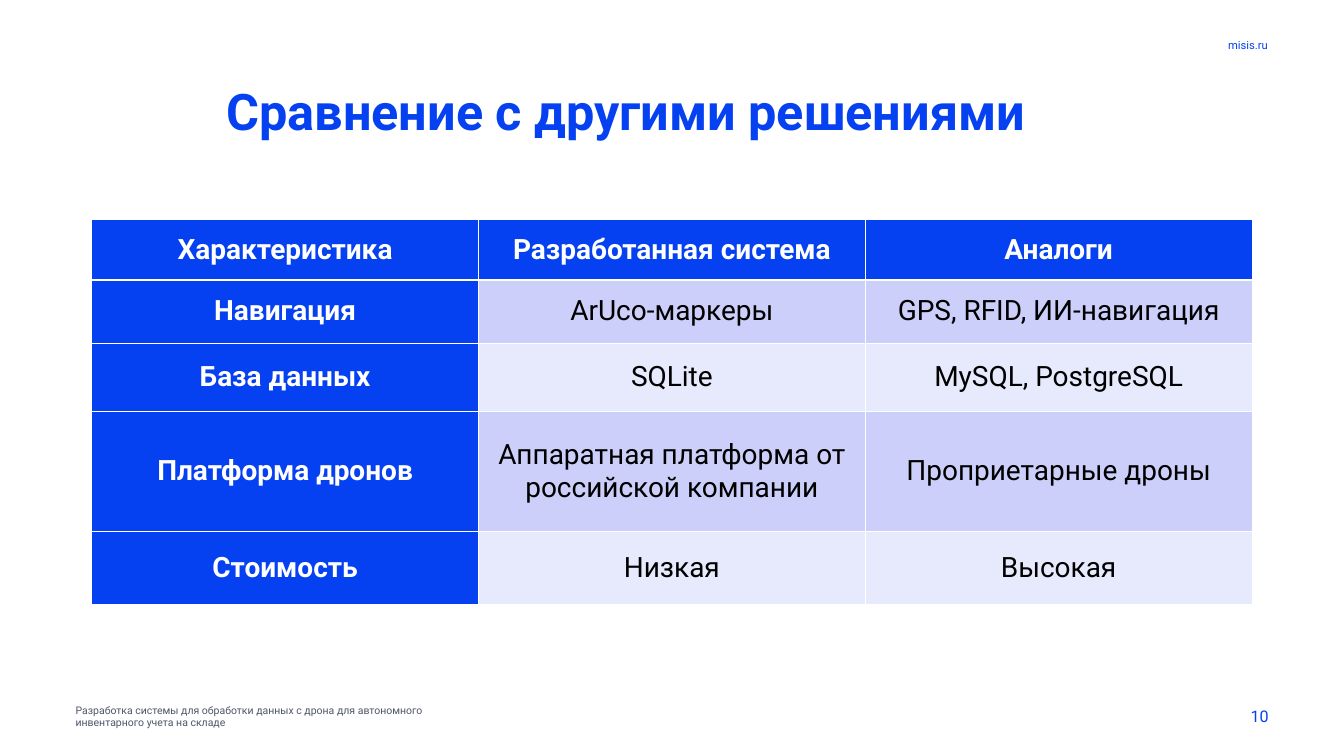
"""Builds the slide that compares the drone system with its rivals."""
from dataclasses import dataclass

from lxml import etree
from pptx import Presentation
from pptx.dml.color import RGBColor
from pptx.enum.text import MSO_ANCHOR, MSO_AUTO_SIZE, PP_ALIGN
from pptx.oxml.ns import qn
from pptx.util import Cm, Pt

LEFT, CENTER, RIGHT = PP_ALIGN.LEFT, PP_ALIGN.CENTER, PP_ALIGN.RIGHT
TOP, MIDDLE = MSO_ANCHOR.TOP, MSO_ANCHOR.MIDDLE
FIXED = MSO_AUTO_SIZE.NONE


@dataclass(frozen=True)
class Theme:
    font: str = "Roboto"
    blue: str = "0541F0"
    white: str = "FFFFFF"
    black: str = "000000"
    gray: str = "505569"
    bands: tuple = ("CCCFF9", "E7E9FC")
    title: int = 72
    cell: int = 40
    page: int = 23
    site: int = 16
    foot: int = 15


theme = Theme()


def write(frame, text, size, color, bold=False, align=LEFT, line=None, after=0):
    frame.word_wrap = True
    para = frame.paragraphs[0]
    para.alignment = align
    para.space_before, para.space_after = Pt(0), Pt(after)
    if line:
        para.line_spacing = Pt(line)
    run = para.add_run()
    run.text = text
    run.font.name, run.font.size, run.font.bold = theme.font, Pt(size), bold
    run.font.color.rgb = RGBColor.from_string(color)


def edge(cell, widths):
    props = cell._tc.get_or_add_tcPr()
    for place, (side, width) in enumerate(widths.items()):
        line = etree.Element(qn(f"a:ln{side}"), w=str(Pt(width)))
        fill = etree.SubElement(line, qn("a:solidFill"))
        etree.SubElement(fill, qn("a:srgbClr"), val=theme.white)
        props.insert(place, line)


deck = Presentation()
deck.slide_width, deck.slide_height = Cm(67.72), Cm(38.1)
slide = deck.slides.add_slide(deck.slide_layouts[5])

title = slide.shapes.title
title.left, title.top, title.width, title.height = Cm(11.15), Cm(4.39), Cm(45.42), Cm(3.07)
title.text_frame.auto_size = FIXED
title.text_frame.vertical_anchor = MIDDLE
write(title.text_frame, "Сравнение с другими решениями", theme.title, theme.blue,
      bold=True, line=67)

notes = [
    ("misis.ru", (55.04, 1.83, 9.09, 0.94), theme.site, theme.blue, RIGHT, TOP),
    ("10", (55.04, 35.08, 9.14, 2.03), theme.page, theme.blue, RIGHT, MIDDLE),
    ("Разработка системы для обработки данных с дрона для автономного инвентарного учета на складе",
     (3.56, 35.08, 19.3, 2.03), theme.foot, theme.gray, LEFT, MIDDLE),
]
for text, spot, size, color, align, anchor in notes:
    frame = slide.shapes.add_textbox(*map(Cm, spot)).text_frame
    frame.vertical_anchor = anchor
    write(frame, text, size, color, align=align)

rows = [
    (3.02, "Характеристика", "Разработанная система", "Аналоги"),
    (3.2, "Навигация", "ArUco-маркеры", "GPS, RFID, ИИ-навигация"),
    (3.45, "База данных", "SQLite", "MySQL, PostgreSQL"),
    (6.02, "Платформа дронов", "Аппаратная платформа от российской компании",
     "Проприетарные дроны"),
    (3.68, "Стоимость", "Низкая", "Высокая"),
]
table = slide.shapes.add_table(len(rows), 3, Cm(4.62), Cm(11.07), Cm(58.47), Cm(19.37)).table
for col in table.columns:
    col.width = Cm(19.49)
for r, (height, *texts) in enumerate(rows):
    table.rows[r].height = Cm(height)
    for c, text in enumerate(texts):
        cell = table.cell(r, c)
        head = r == 0 or c == 0
        fill = theme.blue if head else theme.bands[(r - 1) % 2]
        cell.fill.solid()
        cell.fill.fore_color.rgb = RGBColor.from_string(fill)
        cell.vertical_anchor = MIDDLE
        cell.margin_left = cell.margin_right = Cm(0.18)
        cell.margin_top = cell.margin_bottom = Cm(0)
        write(cell.text_frame, text, theme.cell, theme.white if head else theme.black,
              bold=head, align=CENTER, after=6)
        edge(cell, {"L": 1, "R": 1, "T": 3 if r == 1 else 1, "B": 3 if r == 0 else 1})

deck.save("out.pptx")
